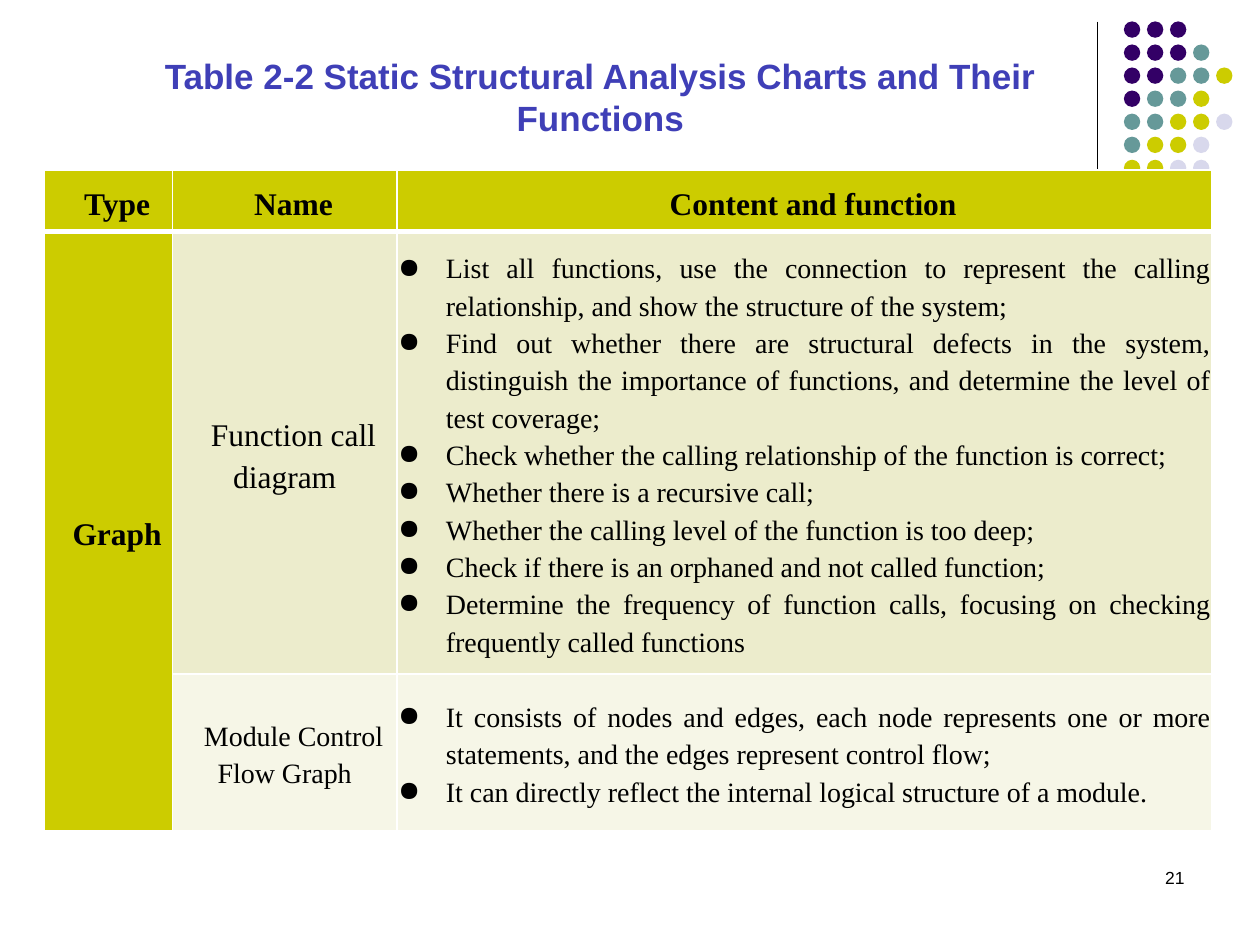
from lxml import etree
from pptx import Presentation, util as u
from pptx.dml.color import RGBColor
from pptx.enum import shapes, text
from pptx.oxml.ns import qn

BLACK = RGBColor(0x00, 0x00, 0x00)
WHITE = RGBColor(0xFF, 0xFF, 0xFF)
BLUE = RGBColor(0x3F, 0x3F, 0xB7)
PURPLE = RGBColor(0x33, 0x00, 0x66)
TEAL = RGBColor(0x66, 0x99, 0x99)
LIME = RGBColor(0xCC, 0xCC, 0x00)
LILAC = RGBColor(0xD8, 0xD8, 0xEC)
SAND = RGBColor(0xEC, 0xEC, 0xCC)
CREAM = RGBColor(0xF6, 0xF6, 0xE7)

SANS, SERIF = "Arial", "Times New Roman"
WIDTH, HEIGHT = u.Inches(10), u.Inches(7.5)
CENTER = text.PP_ALIGN.CENTER

DOT_COLORS = {"P": PURPLE, "T": TEAL, "L": LIME, "V": LILAC}
DOT_ROWS = ["PPP", "PPPT", "PPTTL", "PTTL", "TTLLV", "TLLV", "LLVV"]
DOT_LEFT, DOT_TOP, DOT_STEP, DOT_SIZE = 8.92, 0.17, 0.183, 0.13

COLUMN_WIDTHS = [1.02, 1.78, 6.47]
ROW_HEIGHTS = [0.49, 3.51, 1.24]
HEADINGS = ["Type", "Name", "Content and function"]
CALL_DIAGRAM_POINTS = [
    "List all functions, use the connection to represent the calling relationship, "
    "and show the structure of the system;",
    "Find out whether there are structural defects in the system, distinguish the "
    "importance of functions, and determine the level of test coverage;",
    "Check whether the calling relationship of the function is correct;",
    "Whether there is a recursive call;",
    "Whether the calling level of the function is too deep;",
    "Check if there is an orphaned and not called function;",
    "Determine the frequency of function calls, focusing on checking frequently "
    "called functions",
]
FLOW_GRAPH_POINTS = [
    "It consists of nodes and edges, each node represents one or more statements, "
    "and the edges represent control flow;",
    "It can directly reflect the internal logical structure of a module.",
]
# name, size of the name, points, fill
GRAPH_ROWS = [
    ("Function call diagram", 18, CALL_DIAGRAM_POINTS, SAND),
    ("Module Control Flow Graph", 16, FLOW_GRAPH_POINTS, CREAM),
]


class SlideBuilder:
    """Holds the current slide and draws each kind of element in one style."""

    def __init__(self, presentation):
        self.slide = presentation.slides.add_slide(presentation.slide_layouts[5])

    def box(self, left, top, width, height):
        """Turn shares of the slide's size into lengths."""
        return (int(left * WIDTH), int(top * HEIGHT),
                int(width * WIDTH), int(height * HEIGHT))

    def format_runs(self, paragraph, font, size, color, bold=False):
        for run in paragraph.runs:
            run.font.name = font
            run.font.size = u.Pt(size)
            run.font.bold = bold
            run.font.color.rgb = color

    def title(self, words, *place):
        shape = self.slide.shapes.title
        shape.left, shape.top, shape.width, shape.height = self.box(*place)
        frame = shape.text_frame
        frame.text = words
        frame.auto_size = text.MSO_AUTO_SIZE.NONE
        frame.vertical_anchor = text.MSO_ANCHOR.BOTTOM
        paragraph = frame.paragraphs[0]
        paragraph.alignment = CENTER
        self.format_runs(paragraph, SANS, 20, BLUE, True)

    def page_number(self, words, *place):
        frame = self.slide.shapes.add_textbox(*self.box(*place)).text_frame
        frame.word_wrap = True
        frame.text = words
        frame.paragraphs[0].alignment = text.PP_ALIGN.RIGHT
        self.format_runs(frame.paragraphs[0], SANS, 10, BLACK)

    def vertical_line(self, x, top, bottom):
        start_x, start_y, _, end_y = self.box(x, top, 0, bottom)
        line = self.slide.shapes.add_connector(
            shapes.MSO_CONNECTOR.STRAIGHT, start_x, start_y, start_x, end_y)
        line.line.color.rgb = BLACK
        line.line.width = u.Pt(0.75)
        etree.SubElement(line._element.spPr, qn("a:effectLst"))

    def dots(self):
        for row, letters in enumerate(DOT_ROWS):
            for column, letter in enumerate(letters):
                dot = self.slide.shapes.add_shape(
                    shapes.MSO_SHAPE.OVAL,
                    u.Inches(DOT_LEFT + column * DOT_STEP),
                    u.Inches(DOT_TOP + row * DOT_STEP),
                    u.Inches(DOT_SIZE), u.Inches(DOT_SIZE))
                dot.shadow.inherit = False
                dot.fill.solid()
                dot.fill.fore_color.rgb = DOT_COLORS[letter]
                dot.line.fill.background()

    def table(self, *place):
        table = self.slide.shapes.add_table(
            len(ROW_HEIGHTS), len(COLUMN_WIDTHS), *self.box(*place)).table
        for column, width in zip(table.columns, COLUMN_WIDTHS):
            column.width = u.Inches(width)
        for row, height in zip(table.rows, ROW_HEIGHTS):
            row.height = u.Inches(height)
        return table

    def border(self, cell, side, points):
        line = etree.SubElement(cell._tc.get_or_add_tcPr(), qn("a:ln" + side),
                                w=str(u.Pt(points)))
        fill = etree.SubElement(line, qn("a:solidFill"))
        etree.SubElement(fill, qn("a:srgbClr"), val=str(WHITE))

    def style_cell(self, cell, fill, top=1, bottom=1):
        for side, points in zip("LRTB", (1, 1, top, bottom)):
            self.border(cell, side, points)
        cell.fill.solid()
        cell.fill.fore_color.rgb = fill
        cell.vertical_anchor = text.MSO_ANCHOR.MIDDLE
        cell.margin_left = cell.margin_right = u.Inches(0.01)
        cell.margin_top = cell.margin_bottom = 0

    def indent(self, paragraph, left, first):
        properties = paragraph._p.get_or_add_pPr()
        properties.set("marL", str(u.Inches(left)))
        properties.set("indent", str(u.Inches(first)))
        return properties

    def label(self, cell, words, size=18, bold=False):
        cell.text_frame.text = words
        paragraph = cell.text_frame.paragraphs[0]
        paragraph.alignment = CENTER
        paragraph.line_spacing = 1.2
        self.indent(paragraph, 0, 0.14)
        self.format_runs(paragraph, SERIF, size, BLACK, bold)

    def bullets(self, cell, points):
        cell.text_frame.text = "\n".join(points)
        for paragraph in cell.text_frame.paragraphs:
            paragraph.alignment = text.PP_ALIGN.JUSTIFY
            paragraph.line_spacing = 1.2
            properties = self.indent(paragraph, 0.38, -0.38)
            etree.SubElement(properties, qn("a:buChar"), char="●")
            self.format_runs(paragraph, SERIF, 16, BLACK)


def fill_table(builder, table):
    for column, heading in enumerate(HEADINGS):
        cell = table.cell(0, column)
        builder.style_cell(cell, LIME, bottom=3)
        builder.label(cell, heading, bold=True)

    graph = table.cell(1, 0)
    graph.merge(table.cell(2, 0))
    builder.label(graph, "Graph", bold=True)

    for row, (name, size, points, fill) in enumerate(GRAPH_ROWS, start=1):
        for column, color in enumerate((LIME, fill, fill)):
            builder.style_cell(table.cell(row, column), color, top=3 if row == 1 else 1)
        builder.label(table.cell(row, 1), name, size)
        builder.bullets(table.cell(row, 2), points)


def main():
    presentation = Presentation()
    presentation.slide_width, presentation.slide_height = WIDTH, HEIGHT
    builder = SlideBuilder(presentation)
    builder.vertical_line(0.871, 0.023, 0.244)
    builder.dots()
    builder.title("Table 2-2 Static Structural Analysis Charts and Their Functions",
                  0.083, 0.033, 0.787, 0.12)
    fill_table(builder, builder.table(0.035, 0.18, 0.927, 0.699))
    builder.page_number("21", 0.717, 0.911, 0.233, 0.067)
    presentation.save("out.pptx")


if __name__ == "__main__":
    main()
